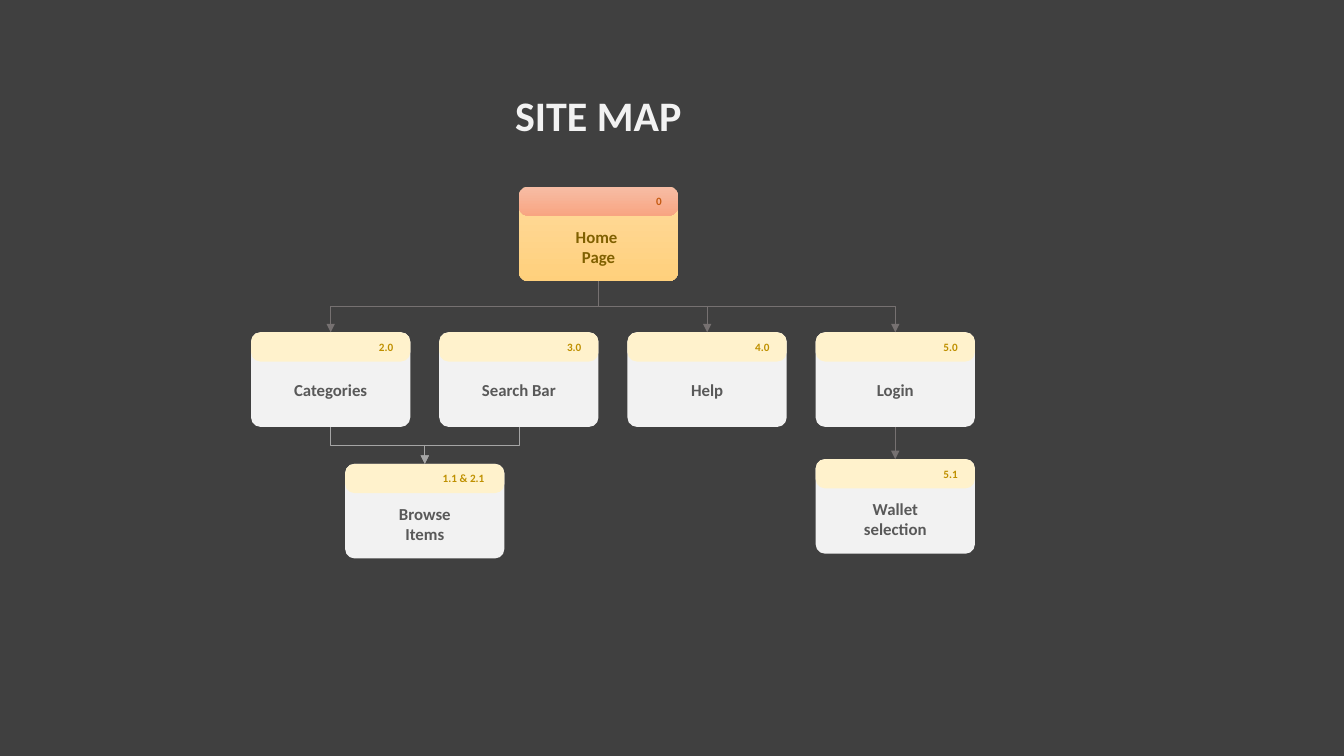
from dataclasses import dataclass

import pptx
import pptx.dml.color
import pptx.enum.shapes
import pptx.enum.text
import pptx.oxml
import pptx.oxml.ns
import pptx.util
from lxml import etree

MSO_SHAPE = pptx.enum.shapes.MSO_SHAPE
CONNECTOR = pptx.enum.shapes.MSO_CONNECTOR
ALIGN = pptx.enum.text.PP_ALIGN
ANCHOR = pptx.enum.text.MSO_ANCHOR
AUTO_SIZE = pptx.enum.text.MSO_AUTO_SIZE
WIDTH, HEIGHT = pptx.util.Inches(13.33), pptx.util.Inches(7.5)


@dataclass(frozen=True)
class Palette:
    """Colours of one kind of card."""
    body: tuple
    header: tuple
    number: str
    label: str


class Theme:
    """Colours, font and type sizes of the slide."""
    font = "Calibri"
    title_size, label_size, number_size = 30, 12, 8
    background, title = "404040", "F2F2F2"
    branch, merge = "767171", "A5A5A5"
    line_width = 0.5
    home = Palette(("FFDB9E", "FFD07C"), ("F7BDA5", "F8A582"), "C55A11", "806000")
    page = Palette(("F2F2F2",), ("FFF2CC",), "BF9000", "595959")


@dataclass(frozen=True)
class Box:
    """A rectangle in EMU."""
    left: float
    top: float
    width: float
    height: float

    def inner(self, left, top, width, height):
        """Return the box at the given shares of this one."""
        return Box(self.left + left * self.width, self.top + top * self.height,
                   width * self.width, height * self.height)

    def percent(self, *shares):
        """Return the box at the given percentages of this one."""
        return self.inner(*(share / 100 for share in shares))

    @property
    def frame(self):
        """Return whole-number left, top, width and height."""
        return [round(v) for v in (self.left, self.top, self.width, self.height)]

    @property
    def top_middle(self):
        """Return the middle of the upper edge."""
        return self.left + self.width / 2, self.top

    @property
    def bottom_middle(self):
        """Return the middle of the lower edge."""
        return self.left + self.width / 2, self.top + self.height


def rgb(code):
    """Return a colour from its hex code."""
    return pptx.dml.color.RGBColor.from_string(code)


def write(frame, lines, size, color, align):
    """Write bold lines as paragraphs."""
    frame.word_wrap = True
    frame.text = "\n".join(lines)
    for paragraph in frame.paragraphs:
        paragraph.alignment = align
        font = paragraph.font
        font.name, font.size, font.bold = Theme.font, pptx.util.Pt(size), True
        font.color.rgb = rgb(color)


def panel(shapes, box, colors, corner):
    """Draw a rounded panel in one colour or a downward gradient."""
    shape = shapes.add_shape(MSO_SHAPE.ROUNDED_RECTANGLE, *box.frame)
    shape.adjustments[0] = corner
    shape.shadow.inherit = False
    shape.line.fill.background()
    if len(colors) == 1:
        shape.fill.solid()
        shape.fill.fore_color.rgb = rgb(colors[0])
    else:
        shape.fill.gradient()
        shape.fill.gradient_angle = 270
        for stop, color in zip(shape.fill.gradient_stops, colors):
            stop.color.rgb = rgb(color)


def card(slide, box, number, number_share, lines, rows, palette):
    """Draw one page card with its number and label as a group."""
    shapes = slide.shapes.add_group_shape().shapes
    panel(shapes, box, palette.body, 0.1)
    panel(shapes, box.inner(0, 0, 1, 0.31), palette.header, 0.32)
    tag = shapes.add_textbox(*box.inner(0.96 - number_share, 0.03, number_share, 0.25).frame)
    write(tag.text_frame, [number], Theme.number_size, palette.number, ALIGN.LEFT)
    label_box = box.inner(0.19, 0.53 - 0.08 * rows, 0.62, 0.11 + 0.21 * rows)
    label = shapes.add_textbox(*label_box.frame)
    write(label.text_frame, lines, Theme.label_size, palette.label, ALIGN.CENTER)


def arrow(slide, start, end, color):
    """Draw a downward arrow, bent halfway where the ends are not in line."""
    (x1, y1), (x2, y2) = start, end
    if x1 == x2:
        kind, ends, turn = CONNECTOR.STRAIGHT, (x1, y1, x2, y2), 0
    else:
        middle_x, middle_y = (x1 + x2) / 2, (y1 + y2) / 2
        across, down = abs(x2 - x1) / 2, (y2 - y1) / 2
        side, turn = (1, 270) if x2 > x1 else (-1, 90)
        kind = CONNECTOR.ELBOW
        ends = (middle_x + side * down, middle_y - across,
                middle_x - side * down, middle_y + across)
    connector = slide.shapes.add_connector(kind, *(round(v) for v in ends))
    connector.line.color.rgb = rgb(color)
    connector.line.width = pptx.util.Pt(Theme.line_width)
    properties = connector._element.spPr
    if turn:
        properties.find(pptx.oxml.ns.qn("a:xfrm")).set("rot", str(turn * 60000))
    line = properties.find(pptx.oxml.ns.qn("a:ln"))
    etree.SubElement(line, pptx.oxml.ns.qn("a:tailEnd"), type="triangle")
    etree.SubElement(properties, pptx.oxml.ns.qn("a:effectLst"))


def heading(slide, box):
    """Place and format the slide title."""
    title = slide.shapes.title
    title.left, title.top, title.width, title.height = box.frame
    write(title.text_frame, ["SITE MAP"], Theme.title_size, Theme.title, ALIGN.CENTER)
    title.text_frame.auto_size = AUTO_SIZE.NONE
    title.text_frame.vertical_anchor = ANCHOR.MIDDLE


def site_map(slide, box):
    """Draw the tree of pages on four columns, with rows counted in card heights."""
    card_share, row = 0.22, 1 / 3.93
    column = (1 - card_share) / 3
    pages = {
        "home": (column + card_share / 2, 0, "0", 0.16, ["Home ", "Page"], 2, Theme.home),
        "browse": (column / 2, 2.93, "1.1 & 2.1", 0.41, ["Browse Items"], 2, Theme.page),
        "wallet": (3 * column, 2.88, "5.1", 0.22, ["Wallet selection"], 2, Theme.page),
    }
    sections = ["Categories", "Search Bar", "Help", "Login"]
    for index, name in enumerate(sections):
        pages[name] = (index * column, 1.54, f"{index + 2}.0", 0.22, [name], 1, Theme.page)

    places = {}
    for name, (left, top, *content) in pages.items():
        places[name] = box.inner(left, top * row, card_share, row)
        card(slide, places[name], *content)

    links = [("home", name, Theme.branch) for name in ("Categories", "Help", "Login")]
    links += [("Login", "wallet", Theme.branch)]
    links += [(name, "browse", Theme.merge) for name in ("Categories", "Search Bar")]
    for source, target, color in links:
        arrow(slide, places[source].bottom_middle, places[target].top_middle, color)


def main():
    """Build and save the presentation."""
    deck = pptx.Presentation()
    deck.slide_width, deck.slide_height = WIDTH, HEIGHT
    slide = deck.slides.add_slide(deck.slide_layouts[5])
    slide.background.fill.solid()
    slide.background.fill.fore_color.rgb = rgb(Theme.background)
    page = Box(0, 0, WIDTH, HEIGHT)
    heading(slide, page.percent(26.48, 11.07, 36.08, 8.13))
    site_map(slide, page.percent(18.68, 24.67, 53.86, 49.2))
    deck.save("out.pptx")


main()
